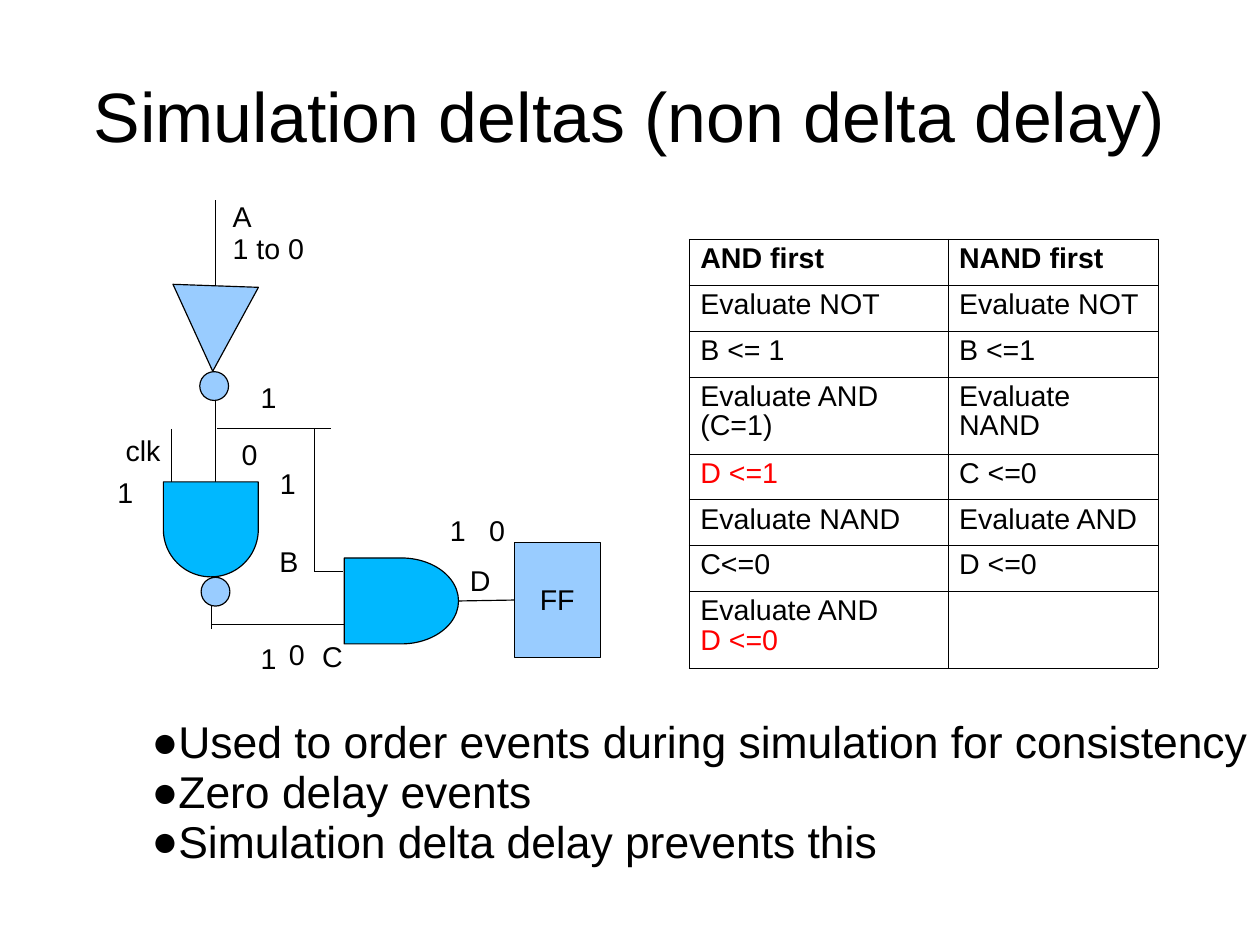
from lxml.etree import SubElement
from pptx import Presentation
from pptx.dml.color import RGBColor
from pptx.enum.shapes import MSO_CONNECTOR, MSO_SHAPE
from pptx.enum.text import MSO_ANCHOR, MSO_AUTO_SIZE, PP_ALIGN
from pptx.oxml.ns import qn
from pptx.util import Cm, Pt

BLACK = RGBColor(0x00, 0x00, 0x00)
RED = RGBColor(0xFF, 0x00, 0x00)
LIGHT_BLUE = RGBColor(0x99, 0xCC, 0xFF)
GATE_BLUE = RGBColor(0x00, 0xB8, 0xFF)


def write(p, text, size=18, color=BLACK, bold=False):
    p.line_spacing = 0.93
    p.space_before = Pt(0)
    r = p.add_run()
    r.text = text
    r.font.name = "Arial"
    r.font.size = Pt(size)
    r.font.bold = bold
    r.font.color.rgb = color


def place(sp, left, top, width, height):
    sp.left, sp.top, sp.width, sp.height = Cm(left), Cm(top), Cm(width), Cm(height)


prs = Presentation()
prs.slide_width = Cm(28)
prs.slide_height = Cm(21)
s = prs.slides.add_slide(prs.slide_layouts[1])

title = s.shapes.title
place(title, 1.4, 0.84, 25.2, 3.5)
tf = title.text_frame
tf.auto_size = MSO_AUTO_SIZE.NONE
tf.vertical_anchor = MSO_ANCHOR.MIDDLE
tf.margin_left = tf.margin_right = tf.margin_bottom = 0
tf.margin_top = Cm(0.1)
p = tf.paragraphs[0]
p.alignment = PP_ALIGN.CENTER
write(p, "Simulation deltas (non delta delay)", 44)

body = s.placeholders[1]
place(body, 3.12, 15.78, 24.8, 4.65)
tf = body.text_frame
tf.auto_size = MSO_AUTO_SIZE.NONE
tf.word_wrap = False
tf.vertical_anchor = MSO_ANCHOR.TOP
tf.margin_left = Cm(0.25)
tf.margin_right = 0
tf.margin_top = Cm(0.2)
points = [
    "Used to order events during simulation for consistency",
    "Zero delay events",
    "Simulation delta delay prevents this",
]
for i, text in enumerate(points):
    p = tf.paragraphs[0] if i == 0 else tf.add_paragraph()
    pPr = p._p.get_or_add_pPr()
    pPr.set("marL", "0")
    pPr.set("indent", "0")
    SubElement(SubElement(pPr, qn("a:buClr")), qn("a:srgbClr")).set("val", str(BLACK))
    SubElement(pPr, qn("a:buFont")).set("typeface", "Arial")
    SubElement(pPr, qn("a:buChar")).set("char", "●")
    p.alignment = PP_ALIGN.LEFT
    write(p, text, 28)

rows = [
    ("AND first", "NAND first"),
    ("Evaluate NOT", "Evaluate NOT"),
    ("B <= 1", "B <=1"),
    ("Evaluate AND (C=1)", "Evaluate NAND"),
    ("D <=1", "C <=0"),
    ("Evaluate NAND", "Evaluate AND"),
    ("C<=0", "D <=0"),
    ("Evaluate AND\nD <=0", ""),
]
table = s.shapes.add_table(len(rows), 2, Cm(15.31), Cm(5.31), Cm(10.42), Cm(9.54)).table
table.first_row = False
table.horz_banding = False
table.columns[0].width = Cm(5.75)
table.columns[1].width = Cm(4.67)
for i, row in enumerate(rows):
    table.rows[i].height = Cm(1.71 if i in (3, 7) else 1.02)
    for j, text in enumerate(row):
        cell = table.cell(i, j)
        tcPr = cell._tc.get_or_add_tcPr()
        for side in ("lnL", "lnR", "lnT", "lnB"):
            ln = SubElement(tcPr, qn("a:" + side), w="762")
            fill = SubElement(ln, qn("a:solidFill"))
            SubElement(fill, qn("a:srgbClr")).set("val", str(BLACK))
        cell.fill.background()
        tf = cell.text_frame
        for k, line in enumerate(text.split("\n") if text else []):
            p = tf.paragraphs[0] if k == 0 else tf.add_paragraph()
            is_red = j == 0 and line.startswith("D")
            write(p, line, color=RED if is_red else BLACK, bold=i == 0)

wires = [
    (4.78, 6.35, 4.78, 4.45),
    (4.78, 8.89, 4.78, 10.8),
    (3.81, 9.53, 3.81, 10.8),
    (4.7, 12.7, 4.7, 13.97),
    (4.7, 13.88, 7.87, 13.88),
    (4.83, 9.53, 7.36, 9.53),
    (6.99, 12.7, 6.99, 9.53),
    (6.99, 12.7, 7.62, 12.7),
    (10.19, 13.34, 11.43, 13.34),
]
connectors = []
for x1, y1, x2, y2 in wires:
    c = s.shapes.add_connector(MSO_CONNECTOR.STRAIGHT, Cm(x1), Cm(y1), Cm(x2), Cm(y2))
    c.line.color.rgb = BLACK
    c.line.width = Pt(0.75)
    SubElement(c._element.spPr, qn("a:effectLst"))
    connectors.append(c)

parts = [
    ("NOT", MSO_SHAPE.ISOSCELES_TRIANGLE, 3.81, 6.35, 1.9, 1.9, 182, LIGHT_BLUE),
    ("NOT bubble", MSO_SHAPE.OVAL, 4.44, 8.26, 0.64, 0.64, 0, LIGHT_BLUE),
    ("FF", MSO_SHAPE.RECTANGLE, 11.43, 12.06, 1.91, 2.55, 0, LIGHT_BLUE),
    ("AND", MSO_SHAPE.FLOWCHART_DELAY, 7.65, 12.4, 2.54, 1.91, 0, GATE_BLUE),
    ("NAND", MSO_SHAPE.FLOWCHART_DELAY, 3.63, 10.71, 2.11, 2.11, 90, GATE_BLUE),
    ("NAND bubble", MSO_SHAPE.OVAL, 4.47, 12.83, 0.64, 0.64, 0, LIGHT_BLUE),
]
gates = {}
for name, kind, left, top, width, height, angle, color in parts:
    sp = s.shapes.add_shape(kind, Cm(left), Cm(top), Cm(width), Cm(height))
    sp.rotation = angle
    sp.shadow.inherit = False
    sp.fill.solid()
    sp.fill.fore_color.rgb = color
    sp.line.color.rgb = BLACK
    sp.line.width = Pt(0.75)
    gates[name] = sp

connectors[-1].begin_connect(gates["AND"], 3)
connectors[-1].end_connect(gates["FF"], 1)

tf = gates["FF"].text_frame
tf.word_wrap = False
tf.vertical_anchor = MSO_ANCHOR.MIDDLE
tf.margin_top = Cm(0.17)
p = tf.paragraphs[0]
p.alignment = PP_ALIGN.CENTER
write(p, "FF")

labels = [
    ("A\n1 to 0", 4.92, 4.37, 2.3),
    ("clk", 2.54, 9.57, 1.5),
    ("D", 10.19, 12.45, 0.97),
    ("B", 5.96, 12.03, 0.97),
    ("C", 6.91, 14.14, 0.97),
    ("1", 2.36, 10.49, 0.87),
    ("1", 5.54, 8.38, 0.87),
    ("0", 5.12, 9.65, 0.87),
    ("1", 5.54, 14.18, 0.87),
    ("1", 9.75, 11.35, 0.87),
    ("1", 5.97, 10.29, 0.87),
    ("0", 6.17, 14.1, 0.87),
    ("0", 10.62, 11.35, 0.87),
]
for text, left, top, width in labels:
    lines = text.split("\n")
    height = 0.25 + 0.71 * len(lines)
    tf = s.shapes.add_textbox(Cm(left), Cm(top), Cm(width), Cm(height)).text_frame
    tf.word_wrap = False
    for k, line in enumerate(lines):
        p = tf.paragraphs[0] if k == 0 else tf.add_paragraph()
        write(p, line)

prs.save("out.pptx")
